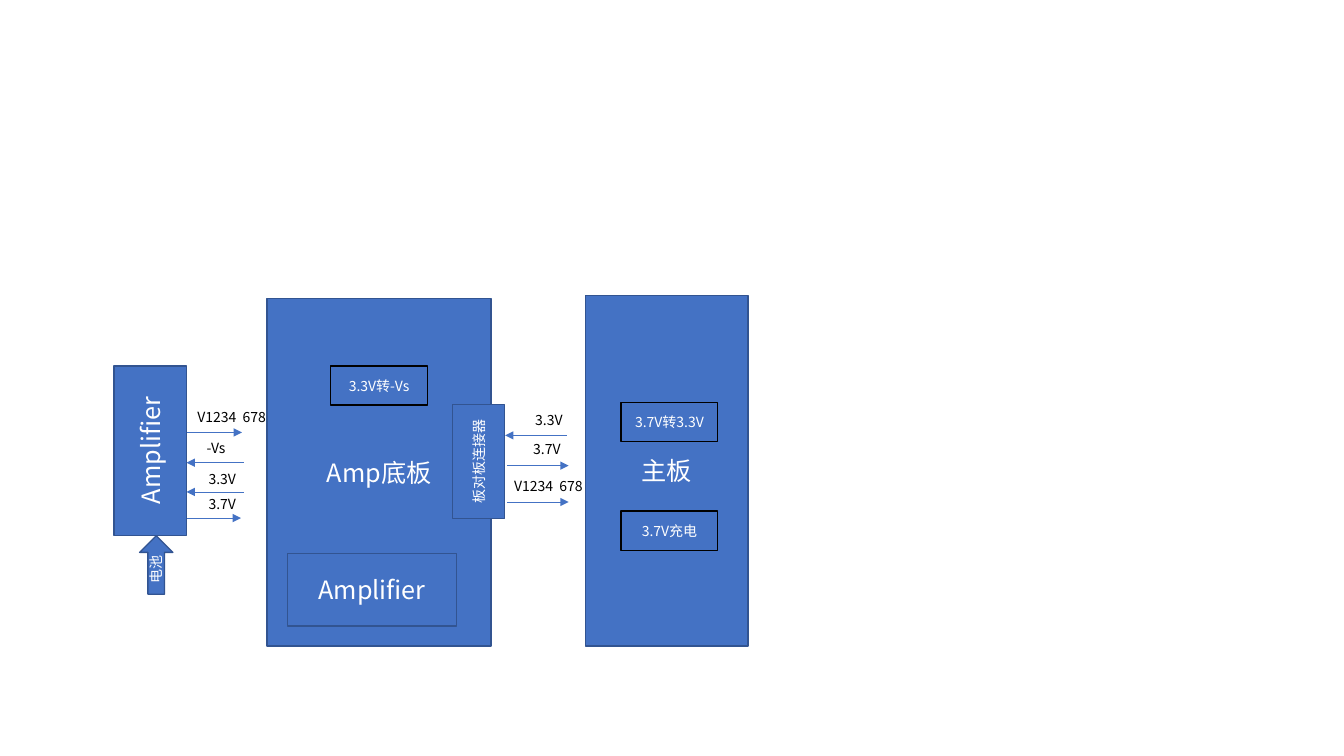
"""Builds the board power diagram slide."""
from lxml import etree
from pptx import Presentation
from pptx.dml.color import RGBColor
from pptx.enum.shapes import MSO_CONNECTOR, MSO_SHAPE
from pptx.enum.text import MSO_ANCHOR, PP_ALIGN
from pptx.oxml.ns import qn
from pptx.util import Inches, Pt

RECTANGLE = MSO_SHAPE.RECTANGLE
RIGHT_ARROW = MSO_SHAPE.RIGHT_ARROW
STRAIGHT = MSO_CONNECTOR.STRAIGHT
MIDDLE = MSO_ANCHOR.MIDDLE
CENTER = PP_ALIGN.CENTER
LEFT = PP_ALIGN.LEFT

FONT = "Noto Sans CJK SC"
COLORS = {"blue": "4472C4", "edge": "325491", "black": "000000", "white": "FFFFFF"}
BIG, SMALL = 18, 10
UPWARD = 270
CHIP_SIZE = (0.96, 0.39)
AMPLIFIER_SIZE = (1.68, 0.72)


def rgb(name):
    return RGBColor.from_string(COLORS[name])


def write_text(shape, text, size, color, align):
    paragraph = shape.text_frame.paragraphs[0]
    paragraph.text = text
    paragraph.alignment = align
    font = paragraph.font
    font.name = FONT
    font.size = Pt(size)
    font.color.rgb = rgb(color)
    properties = paragraph._p.pPr.find(qn("a:defRPr"))
    etree.SubElement(properties, qn("a:ea")).set("typeface", FONT)


def add_block(page, text, left, top, width, height, size=BIG, edge="edge",
              rotation=0, kind=RECTANGLE):
    block = page.shapes.add_shape(
        kind, Inches(left), Inches(top), Inches(width), Inches(height))
    block.shadow.inherit = False
    block.rotation = rotation
    block.fill.solid()
    block.fill.fore_color.rgb = rgb("blue")
    block.line.color.rgb = rgb(edge)
    block.line.width = Pt(1)
    frame = block.text_frame
    frame.word_wrap = True
    frame.vertical_anchor = MIDDLE
    frame.margin_left = frame.margin_right = Inches(0.05)
    write_text(block, text, size, "white", CENTER)


def add_chip(page, text, left, top):
    add_block(page, text, left, top, *CHIP_SIZE, size=SMALL, edge="black")


def add_label(page, text, left, top, width):
    box = page.shapes.add_textbox(
        Inches(left), Inches(top), Inches(width), Inches(0.27))
    box.text_frame.word_wrap = True
    write_text(box, text, SMALL, "black", LEFT)


def add_arrow(page, start, end, height):
    arrow = page.shapes.add_connector(
        STRAIGHT, Inches(start), Inches(height), Inches(end), Inches(height))
    arrow.line.color.rgb = rgb("blue")
    arrow.line.width = Pt(0.5)
    etree.SubElement(arrow.line._get_or_add_ln(), qn("a:tailEnd")).set("type", "triangle")
    etree.SubElement(arrow._element.spPr, qn("a:effectLst"))


def add_signals(page, signals):
    for text, left, top, width, start, end, height in signals:
        add_arrow(page, start, end, height)
        add_label(page, text, left, top, width)


def add_amplifier(page):
    add_block(page, "Amplifier", 0.65, 4.11, *AMPLIFIER_SIZE, rotation=UPWARD)
    add_block(page, "电池", 1.26, 5.44, 0.58, 0.33, size=SMALL,
              rotation=UPWARD, kind=RIGHT_ARROW)
    add_signals(page, [
        ("V1234  678", 1.86, 4.0, 1.13, 1.85, 2.4, 4.29),
        ("-Vs", 1.95, 4.31, 1.31, 2.42, 1.85, 4.59),
        ("3.3V", 1.97, 4.62, 1.31, 2.42, 1.85, 4.88),
        ("3.7V", 1.97, 4.87, 1.31, 1.85, 2.39, 5.14),
    ])


def add_main_board(page):
    add_block(page, "主板", 5.81, 2.93, 1.61, 3.48)
    add_chip(page, "3.7V转3.3V", 6.16, 3.99)
    add_chip(page, "3.7V充电", 6.16, 5.07)


def add_base_board(page):
    add_block(page, "Amp底板", 2.65, 2.96, 2.22, 3.45)
    add_chip(page, "3.3V转-Vs", 3.28, 3.63)
    add_block(page, "Amplifier", 2.85, 5.49, *AMPLIFIER_SIZE)
    add_block(page, "板对板连接器", 4.18, 4.32, 1.13, 0.52, size=SMALL, rotation=UPWARD)
    add_signals(page, [
        ("3.3V", 5.21, 4.03, 0.62, 5.62, 5.01, 4.32),
        ("3.7V", 5.19, 4.32, 0.62, 5.03, 5.64, 4.62),
        ("V1234  678", 5.0, 4.69, 0.91, 5.03, 5.64, 4.98),
    ])


def main():
    deck = Presentation()
    deck.slide_width = Inches(13.33)
    deck.slide_height = Inches(7.5)
    page = deck.slides.add_slide(deck.slide_layouts[6])
    add_amplifier(page)
    add_main_board(page)
    add_base_board(page)
    deck.save("out.pptx")


if __name__ == "__main__":
    main()
